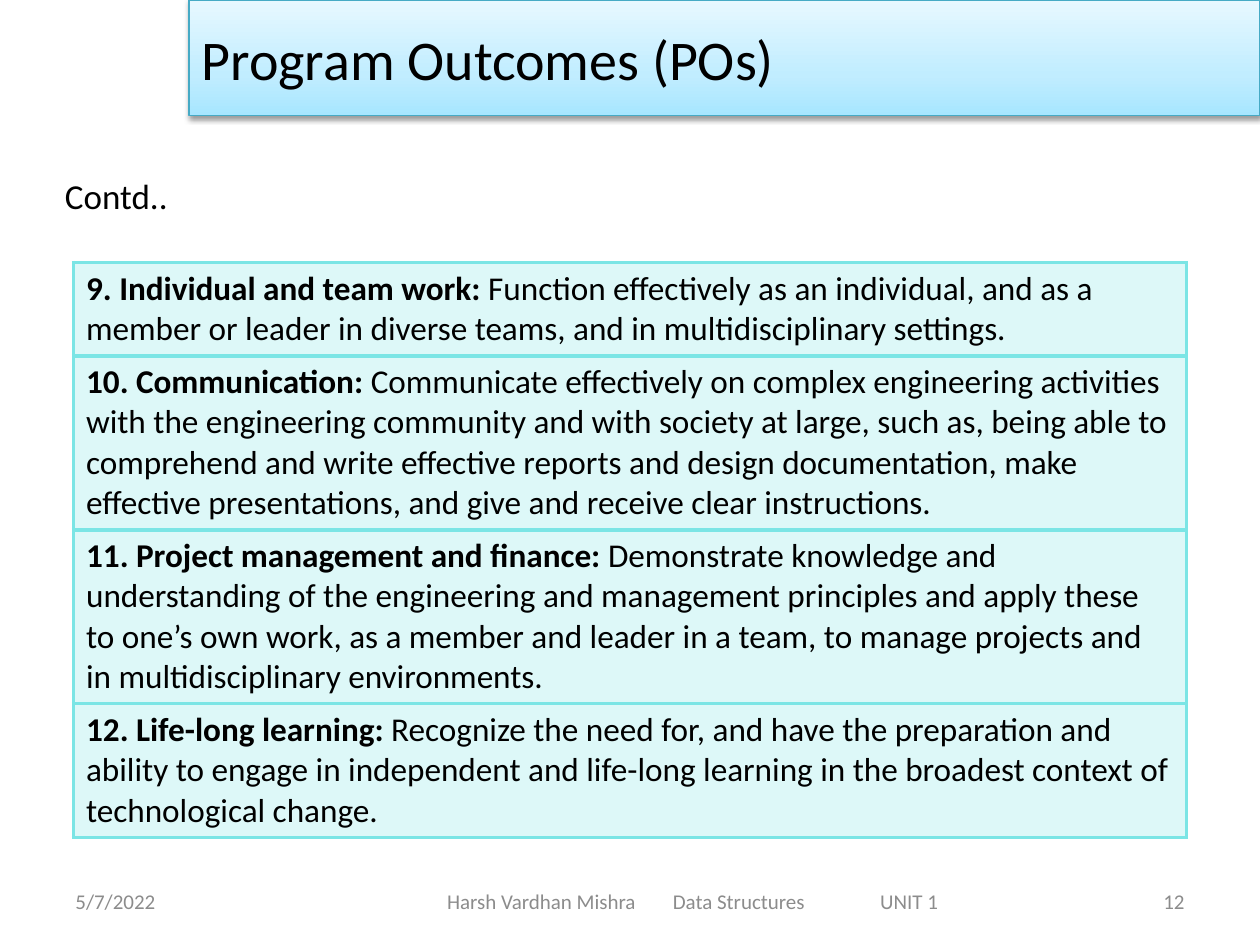
from copy import deepcopy

from lxml import etree
from pptx import Presentation
from pptx import util as u
from pptx.dml import color
from pptx.enum import text
from pptx.oxml import ns, parse_xml

Pt = u.Pt
THEME = {
    "font": "Calibri",
    "ink": "000000", "muted": "8C8C8C", "aqua": "7BE5E5", "banner_line": "46AAC5",
    "banner": [(0, "A7E6FF"), (0.35, "C1EDFF"), (1, "E7F8FF")],
    "title": 32, "lead": 20, "table": 19, "footer": 12,
}
NS = ns.nsdecls("a")


def style(font, size, ink="ink", bold=False):
    for name, value in {"name": THEME["font"], "size": Pt(THEME[size]), "bold": bold}.items():
        setattr(font, name, value)
    font.color.rgb = color.RGBColor.from_string(THEME[ink])


prs = Presentation()
prs.slide_width, prs.slide_height = Pt(720), Pt(540)
slide = prs.slides.add_slide(prs.slide_layouts[5])

# Outcomes table: label, description, row height
outcomes = [
    ("9. Individual and team work: ",
     "Function effectively as an individual, and as a member or leader in diverse teams, "
     "and in multidisciplinary settings.", 53),
    ("10. Communication: ",
     "Communicate effectively on complex engineering activities with the engineering "
     "community and with society at large, such as, being able to comprehend and write "
     "effective reports and design documentation, make effective presentations, and give "
     "and receive clear instructions.", 99),
    ("11. Project management and finance: ",
     "Demonstrate knowledge and understanding of the engineering and management principles "
     "and apply these to one’s own work, as a member and leader in a team, to manage "
     "projects and in multidisciplinary environments.", 99),
    ("12. Life-long learning: ",
     "Recognize the need for, and have the preparation and ability to engage in independent "
     "and life-long learning in the broadest context of technological change.", 76),
]
total_height = sum(height for _, _, height in outcomes)
table = slide.shapes.add_table(
    len(outcomes), 1, Pt(42), Pt(150), Pt(636), Pt(total_height)).table
table.first_row = table.horz_banding = False
for row, (label, description, height) in zip(table.rows, outcomes):
    row.height = Pt(height)
    cell = row.cells[0]
    paragraph = cell.text_frame.paragraphs[0]
    for words, bold in ((label, True), (description, False)):
        run = paragraph.add_run()
        run.text = words
        style(run.font, "table", bold=bold)
    cell.fill.solid()
    cell.fill.fore_color.rgb = color.RGBColor.from_string(THEME["aqua"])
    tc_pr = cell._tc.get_or_add_tcPr()
    tint = tc_pr.find(".//" + ns.qn("a:srgbClr"))
    etree.SubElement(tint, ns.qn("a:alpha"), val="25000")
    for position, side in enumerate(("lnL", "lnR", "lnT", "lnB")):
        tc_pr.insert(position, parse_xml(
            f'<a:{side} {NS} w="{Pt(2.25)}"><a:solidFill><a:srgbClr val="{THEME["aqua"]}"/>'
            f'</a:solidFill></a:{side}>'))

# Title banner
title = slide.shapes.title
for name, value in {"left": 108, "top": 0, "width": 612, "height": 66}.items():
    setattr(title, name, Pt(value))
title.text_frame.text = "Program Outcomes (POs)"
title.text_frame.auto_size = text.MSO_AUTO_SIZE.NONE
title.text_frame.vertical_anchor = text.MSO_ANCHOR.MIDDLE
title.text_frame.paragraphs[0].alignment = text.PP_ALIGN.LEFT
style(title.text_frame.paragraphs[0].runs[0].font, "title")
title.fill.gradient()
title.fill.gradient_angle = 90
stops = title._element.spPr.find(".//" + ns.qn("a:gsLst"))
stops.append(deepcopy(stops[-1]))
for stop, (position, shade) in zip(title.fill.gradient_stops, THEME["banner"]):
    stop.position = position
    stop.color.rgb = color.RGBColor.from_string(shade)
title.line.color.rgb = color.RGBColor.from_string(THEME["banner_line"])
title.line.width = Pt(0.75)
title._element.spPr.append(parse_xml(
    f'<a:effectLst {NS}><a:outerShdw blurRad="{Pt(3.1)}" dist="{Pt(1.6)}" dir="5400000" '
    'rotWithShape="0"><a:srgbClr val="000000"><a:alpha val="38000"/></a:srgbClr>'
    '</a:outerShdw></a:effectLst>'))

# Lead-in and footer: words, left, top, width, height, left inset, alignment, size, ink
TOP, MIDDLE = text.MSO_ANCHOR.TOP, text.MSO_ANCHOR.MIDDLE
LEFT, RIGHT = text.PP_ALIGN.LEFT, text.PP_ALIGN.RIGHT
lines = [
    ("Contd..", 30, 96, 74, 31.5, 7.2, TOP, LEFT, "lead", "ink"),
    ("5/7/2022", 36, 500.5, 168, 28.75, 7.2, MIDDLE, LEFT, "footer", "muted"),
    ("Harsh Vardhan Mishra\tData Structures\tUNIT 1",
     198, 500.5, 396, 28.75, 57.5, MIDDLE, LEFT, "footer", "muted"),
    ("12", 516, 500.5, 168, 28.75, 7.2, MIDDLE, RIGHT, "footer", "muted"),
]
for words, left, top, width, height, inset, anchor, align, size, ink in lines:
    frame = slide.shapes.add_textbox(Pt(left), Pt(top), Pt(width), Pt(height)).text_frame
    frame.word_wrap = size == "footer"
    frame.margin_left = Pt(inset)
    frame.vertical_anchor = anchor
    paragraph = frame.paragraphs[0]
    if "\t" in words:
        paragraph._p.get_or_add_pPr().append(parse_xml(
            f'<a:tabLst {NS}><a:tab pos="{Pt(129)}" algn="l"/>'
            f'<a:tab pos="{Pt(247.5)}" algn="l"/></a:tabLst>'))
    paragraph.alignment = align
    run = paragraph.add_run()
    run.text = words
    style(run.font, size, ink)

prs.save("out.pptx")
